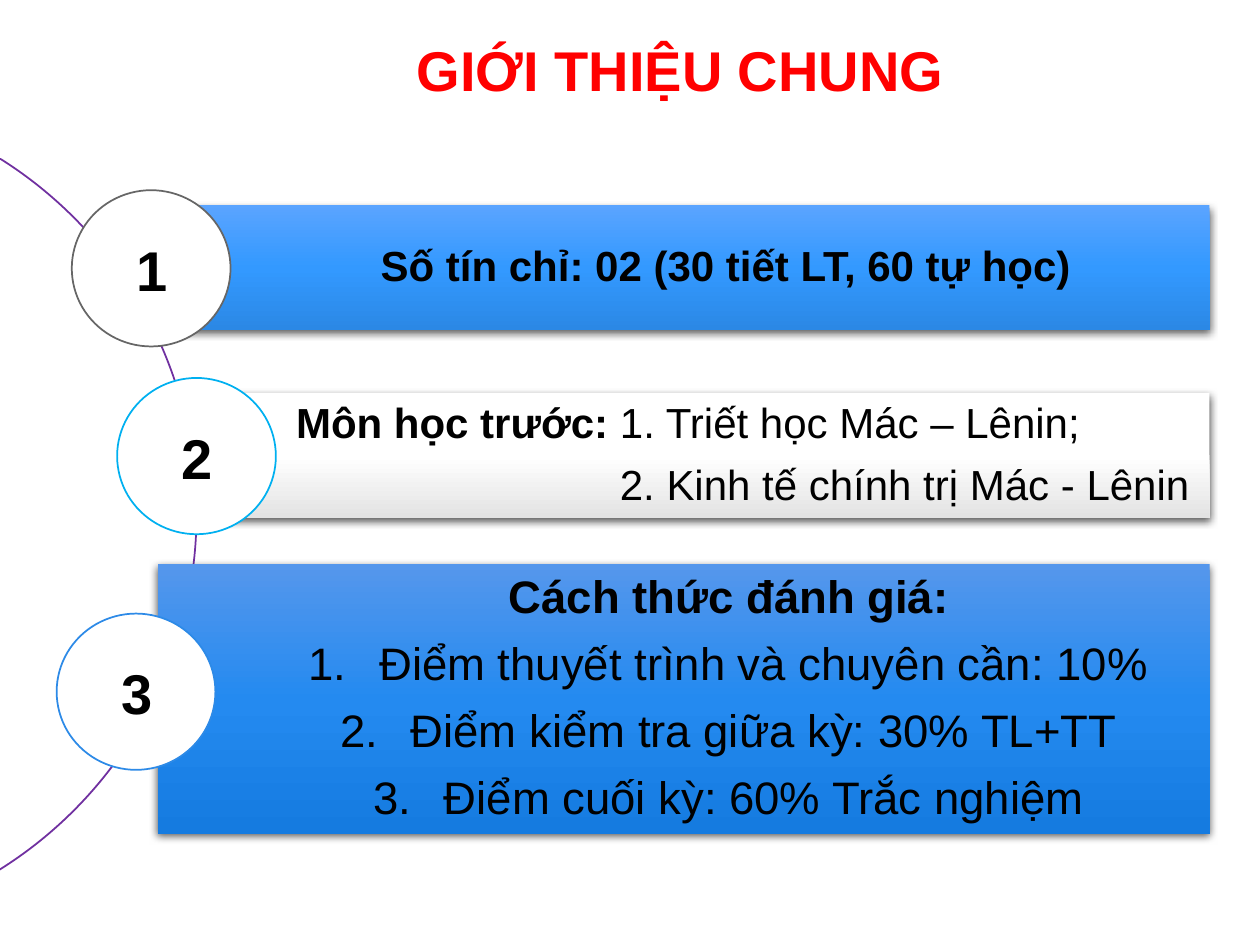
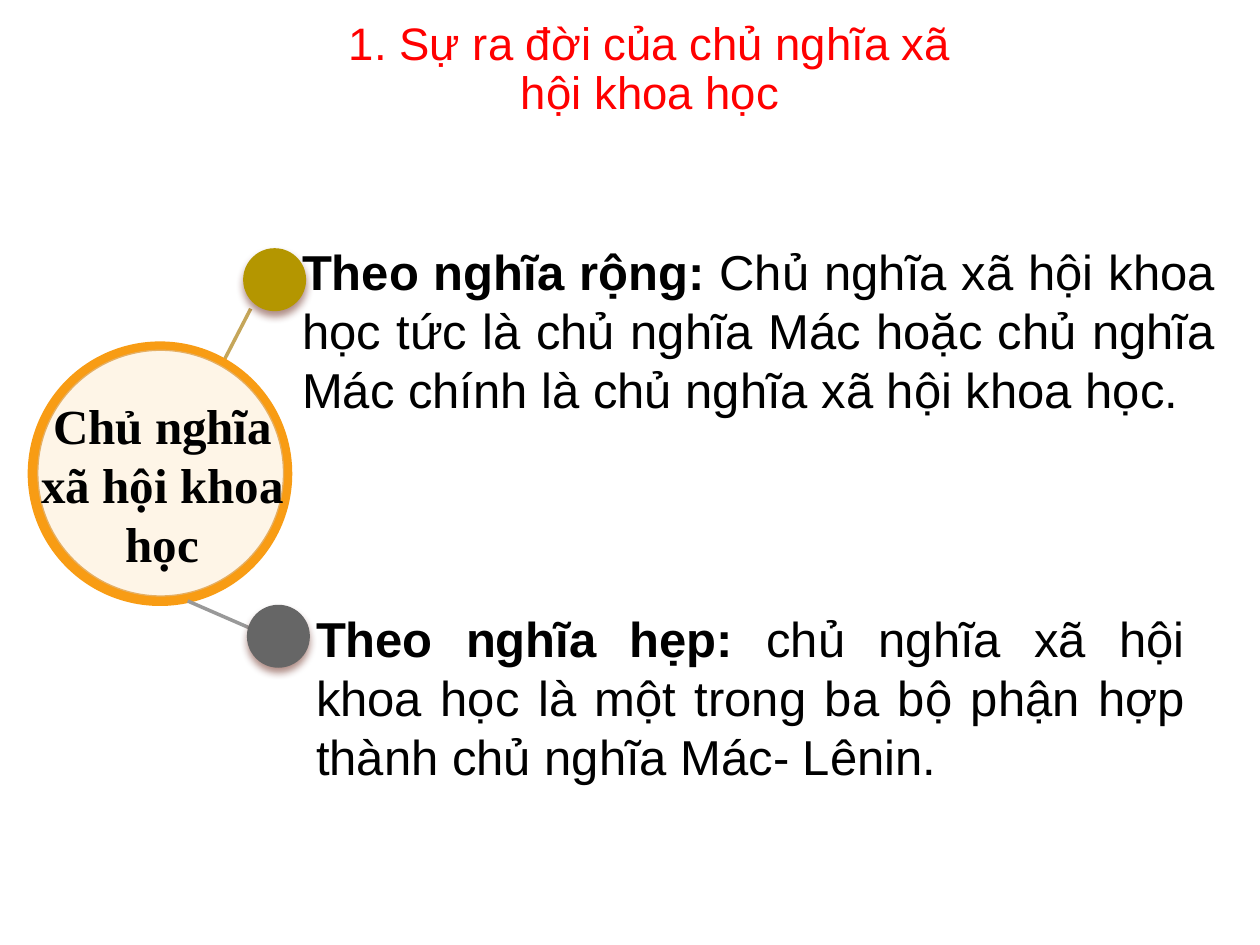
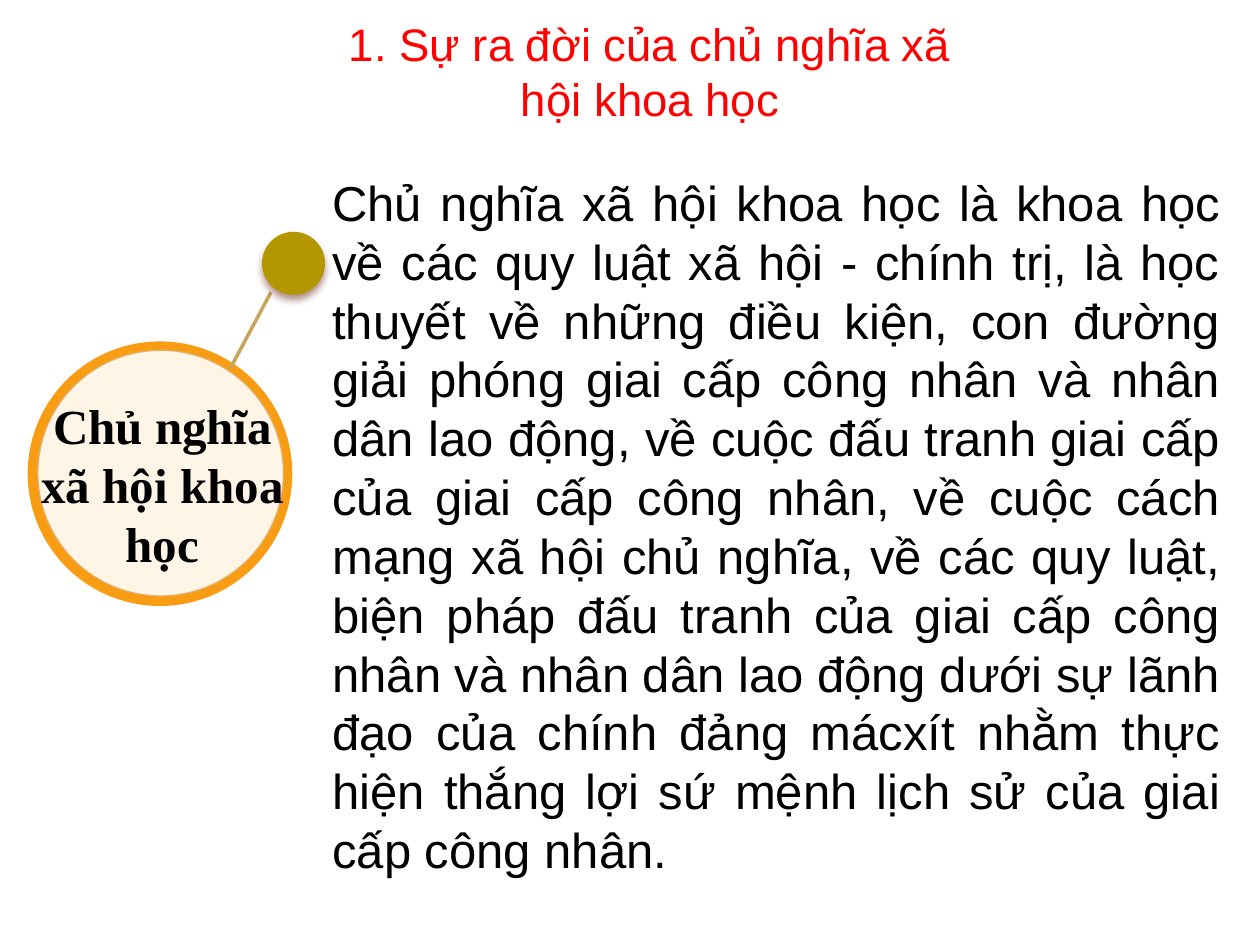
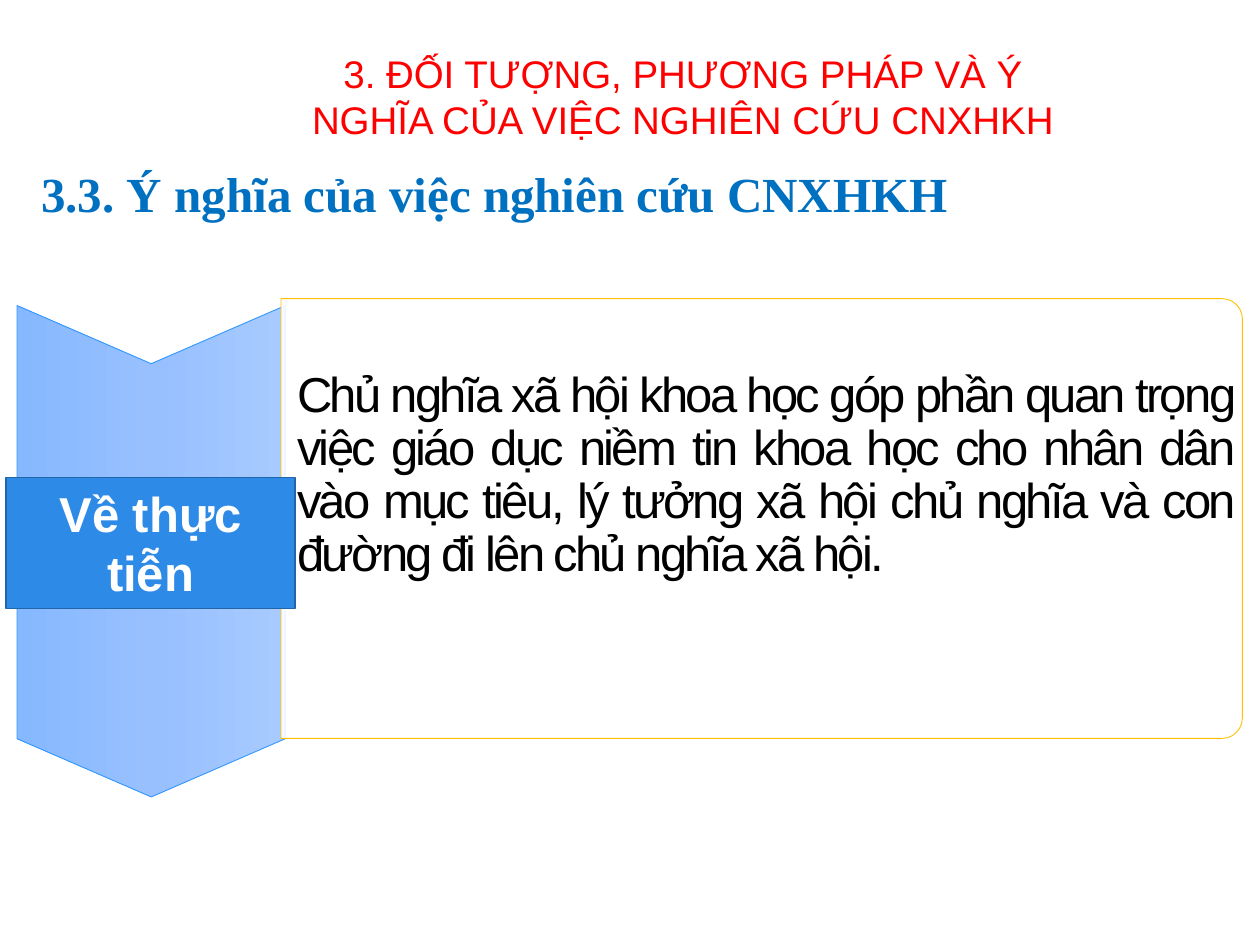
from lxml import etree
from pptx import Presentation
from pptx.dml.color import RGBColor
from pptx.enum.shapes import MSO_CONNECTOR, MSO_SHAPE as SHAPE
from pptx.enum.text import MSO_ANCHOR as ANCHOR, PP_ALIGN as ALIGN
from pptx.oxml.ns import qn
from pptx.util import Inches, Pt

RED = RGBColor(0xFF, 0x00, 0x00)
BLACK = RGBColor(0x00, 0x00, 0x00)
WHITE = RGBColor(0xFF, 0xFF, 0xFF)
PURPLE = RGBColor(0x70, 0x30, 0xA0)
GRAY = RGBColor(0x66, 0x66, 0x66)
LIGHT_GRAY = RGBColor(0x99, 0x99, 0x99)
CYAN = RGBColor(0x00, 0xB0, 0xF0)
BLUE = RGBColor(0x2D, 0x8A, 0xE7)
DARK_BLUE = RGBColor(0x21, 0x66, 0xAB)
BRIGHT_BLUE = RGBColor(0x33, 0x99, 0xFF)
HEADING_BLUE = RGBColor(0x00, 0x70, 0xC0)
ORANGE = RGBColor(0xF8, 0x9C, 0x14)
TAN = RGBColor(0xE5, 0xAF, 0x63)
SAND = RGBColor(0xC5, 0xA6, 0x5A)
OLIVE = RGBColor(0xB4, 0x96, 0x00)
GOLD = RGBColor(0xFF, 0xC0, 0x00)
BROWN = RGBColor(0x58, 0x10, 0x01)

SKY_FADE = (RGBColor(0x5A, 0xA4, 0xFF), BRIGHT_BLUE, RGBColor(0x2B, 0x88, 0xE5))
WHITE_FADE = (WHITE, WHITE, RGBColor(0xE3, 0xE3, 0xE3))
OCEAN_FADE = (RGBColor(0x55, 0x97, 0xEC), RGBColor(0x24, 0x8A, 0xF0), RGBColor(0x15, 0x7B, 0xE0))
PALE_FADE = (RGBColor(0xA7, 0xCA, 0xFF), RGBColor(0x98, 0xC0, 0xFF), RGBColor(0x86, 0xB8, 0xFF))

SANS, SERIF = "Arial", "Times New Roman"
BAR_SHADOW = dict(color=BLACK, opacity=63, blur=4.5, distance=1.5)
DOT_SHADOW = dict(color=BROWN, opacity=48, blur=4.5, distance=3)
BAR_RIGHT = 9.6
DOT_SIZE = 0.5

# A paragraph is a list of (text, bold) spans.
ORIGIN_TITLE = "1. Sự ra đời của chủ nghĩa xã hội khoa học"
ORIGIN_TITLE_AT = (2.45, 0.15, 5.42, 0.82)
CORE_TERM = "Chủ nghĩa xã hội khoa học"

OVERVIEW = [
    dict(bar=(1.2, 1.63, 0.99), circle=(0.57, 1.51), fade=SKY_FADE, ring=GRAY, size=24, paras=[
        ([("Số tín chỉ: 02 (30 tiết LT, 60 tự học)", True)], {}),
    ]),
    dict(bar=(1.56, 3.12, 0.99), circle=(0.93, 3), fade=WHITE_FADE, ring=CYAN, size=24, paras=[
        ([("Môn học trước: ", True), ("1. Triết học Mác – Lênin;", False)], dict(align=ALIGN.LEFT)),
        ([("2. Kinh tế chính trị Mác - Lênin", False)], dict(align=ALIGN.LEFT, margin=2.57)),
    ]),
    dict(bar=(1.25, 4.48, 2.14), circle=(0.45, 4.87), fade=OCEAN_FADE, ring=BLUE, size=26, paras=[
        ([("Cách thức đánh giá:", True)], {}),
        ([("Điểm thuyết trình và chuyên cần: 10%", False)], dict(margin=0.56, numbered=True)),
        ([("Điểm kiểm tra giữa kỳ: 30% TL+TT", False)], dict(margin=0.56, numbered=True)),
        ([("Điểm cuối kỳ: 60% Trắc nghiệm", False)], dict(margin=0.56, numbered=True)),
    ]),
]

BROAD_SENSE = [
    ("Theo nghĩa rộng:", True),
    (" Chủ nghĩa xã hội khoa học tức là chủ nghĩa Mác hoặc chủ nghĩa Mác chính là "
     "chủ nghĩa xã hội khoa học.", False),
]
NARROW_SENSE = [
    ("Theo nghĩa hẹp: ", True),
    ("chủ nghĩa xã hội khoa học là một trong ba bộ phận hợp thành chủ nghĩa Mác- Lênin.", False),
]
DEFINITION = (
    "Chủ nghĩa xã hội khoa học là khoa học về các quy luật xã hội - chính trị, là học thuyết "
    "về những điều kiện, con đường giải phóng giai cấp công nhân và nhân dân lao động, về cuộc "
    "đấu tranh giai cấp của giai cấp công nhân, về cuộc cách mạng xã hội chủ nghĩa, về các quy "
    "luật, biện pháp đấu tranh của giai cấp công nhân và nhân dân lao động dưới sự lãnh đạo của "
    "chính đảng mácxít nhằm thực hiện thắng lợi sứ mệnh lịch sử của giai cấp công nhân."
)
PRACTICE = (
    "Chủ nghĩa xã hội khoa học góp phần quan trọng việc giáo dục niềm tin khoa học cho nhân dân "
    "vào mục tiêu, lý tưởng xã hội chủ nghĩa và con đường đi lên chủ nghĩa xã hội."
)


def add_color(parent, color, opacity=100):
    node = etree.SubElement(parent, qn("a:srgbClr"), val=str(color))
    if opacity < 100:
        etree.SubElement(node, qn("a:alpha"), val=str(opacity * 1000))


def paint_fade(shape, colors):
    """Fill a shape from top to bottom with evenly spaced colours."""
    shape.fill.gradient()
    shape.fill.gradient_angle = 270
    stops = shape._element.spPr.find(".//" + qn("a:gsLst"))
    for stop in list(stops):
        stops.remove(stop)
    for index, color in enumerate(colors):
        position = 100000 * index // (len(colors) - 1)
        add_color(etree.SubElement(stops, qn("a:gs"), pos=str(position)), color)


def add_shadow(shape, color, opacity, blur, distance):
    effects = shape._element.spPr.find(qn("a:effectLst"))
    outer = etree.SubElement(effects, qn("a:outerShdw"), blurRad=str(Pt(blur)),
                             dist=str(Pt(distance)), dir="5400000", rotWithShape="0")
    add_color(outer, color, opacity)


def add_figure(page, kind, at, fill, line=None, width=1, opacity=100, shadow=None,
               rotation=0, adjust=()):
    """Add a preset shape; a tuple as fill makes a gradient."""
    shape = page.shapes.add_shape(kind, *map(Inches, at))
    shape.shadow.inherit = False
    shape.rotation = rotation
    for index, value in enumerate(adjust):
        shape.adjustments[index] = value
    if isinstance(fill, RGBColor):
        shape.fill.solid()
        shape.fill.fore_color.rgb = fill
        if opacity < 100:
            node = shape._element.spPr.find(qn("a:solidFill"))[0]
            etree.SubElement(node, qn("a:alpha"), val=str(opacity * 1000))
    else:
        paint_fade(shape, fill)
    if line is None:
        shape.line.fill.background()
    else:
        shape.line.color.rgb = line
        shape.line.width = Pt(width)
    if shadow:
        add_shadow(shape, **shadow)
    return shape


def add_line(page, start, end, color):
    line = page.shapes.add_connector(MSO_CONNECTOR.STRAIGHT, *map(Inches, start + end))
    line.line.color.rgb = color
    line.line.width = Pt(2)
    etree.SubElement(line._element.spPr, qn("a:effectLst"))


def write_para(para, spans, size, color=BLACK, font=SANS, align=ALIGN.CENTER, leading=None,
               after=None, margin=0, numbered=False, tracking=0):
    props = para._p.get_or_add_pPr()
    if margin:
        props.set("marL", str(Inches(margin)))
    if numbered:
        props.set("indent", str(-Inches(margin)))
        etree.SubElement(props, qn("a:buFont"), typeface="+mj-lt")
        etree.SubElement(props, qn("a:buAutoNum"), type="arabicPeriod")
    layout = dict(alignment=align, line_spacing=leading, space_after=after)
    for name, value in layout.items():
        setattr(para, name, value)
    for text, bold in spans:
        span = para.add_run()
        span.text = text
        for name, value in dict(size=Pt(size), name=font, bold=bold).items():
            setattr(span.font, name, value)
        span.font.color.rgb = color
        if tracking:
            span._r.get_or_add_rPr().set("spc", str(int(tracking * 100)))


def write(shape, paras, anchor=ANCHOR.TOP, **shared):
    """Fill a shape with (spans, format) paragraphs that share some format."""
    frame = shape.text_frame
    frame.word_wrap = True
    frame.vertical_anchor = anchor
    for index, (spans, own) in enumerate(paras):
        para = frame.add_paragraph() if index else frame.paragraphs[0]
        write_para(para, spans, **{**shared, **own})


def add_text(page, at, spans, anchor=ANCHOR.TOP, **format_values):
    box = page.shapes.add_textbox(*map(Inches, at))
    write(box, [(spans, {})], anchor, **format_values)


def add_title(page, at, text, size=26, bold=False, leading=None):
    add_text(page, at, [(text, bold)], ANCHOR.MIDDLE, size=size, color=RED, leading=leading)


def add_core(page):
    """Draw the ringed disc that names the central term."""
    add_figure(page, SHAPE.OVAL, (0.22, 2.71, 2.1, 2.1), ORANGE)
    add_figure(page, SHAPE.OVAL, (0.3, 2.78, 1.95, 1.95), WHITE, TAN, 0.75, opacity=90)
    add_text(page, (0.16, 3.09, 2.26, 1.51), [(CORE_TERM, True)], size=28, font=SERIF)


def add_branch(page, start, end, dot, line_color, dot_color):
    add_line(page, start, end, line_color)
    add_figure(page, SHAPE.OVAL, dot + (DOT_SIZE, DOT_SIZE), dot_color, shadow=DOT_SHADOW)


def build_overview(page):
    add_title(page, (2.56, 0.14, 5.68, 0.82), "GIỚI THIỆU CHUNG", 32, bold=True)
    add_figure(page, SHAPE.BLOCK_ARC, (-5.1, 0.75, 6.66, 6.66), PURPLE, PURPLE,
               adjust=(181.33, 34.8, 0))
    for number, item in enumerate(OVERVIEW, 1):
        left, top, height = item["bar"]
        bar = add_figure(page, SHAPE.RECTANGLE, (left, top, BAR_RIGHT - left, height),
                         item["fade"], shadow=BAR_SHADOW)
        insets = dict(margin_left=0.79, margin_top=0.07, margin_right=0.07, margin_bottom=0.07)
        for name, value in insets.items():
            setattr(bar.text_frame, name, Inches(value))
        size = item["size"]
        write(bar, item["paras"], ANCHOR.MIDDLE, size=size, leading=0.9, after=Pt(size * 0.4))
        left, top = item["circle"]
        add_figure(page, SHAPE.OVAL, (left, top, 1.26, 1.24), WHITE, item["ring"])
        add_text(page, (left + 0.32, top + 0.31, 0.63, 0.64), [(str(number), True)], size=32)


def build_senses(page):
    add_branch(page, (1.68, 3.05), (1.99, 2.45), (1.93, 1.97), SAND, OLIVE)
    add_core(page)
    for at, spans in [((2.3, 1.87, 7.44, 1.51), BROAD_SENSE),
                      ((2.41, 4.78, 7.09, 1.51), NARROW_SENSE)]:
        add_text(page, at, spans, size=28, align=ALIGN.JUSTIFY)
    add_branch(page, (1.49, 4.77), (2.11, 5.04), (1.96, 4.8), LIGHT_GRAY, GRAY)
    add_title(page, ORIGIN_TITLE_AT, ORIGIN_TITLE, leading=0.9)


def build_definition(page):
    add_text(page, (2.54, 1.32, 7.24, 5.76), [(DEFINITION, False)], size=28, align=ALIGN.JUSTIFY)
    add_core(page)
    add_branch(page, (1.83, 2.92), (2.15, 2.32), (2.08, 1.84), SAND, OLIVE)
    add_title(page, ORIGIN_TITLE_AT, ORIGIN_TITLE)


def build_meaning(page):
    add_figure(page, SHAPE.CHEVRON, (-0.75, 3.31, 3.9, 2.13), PALE_FADE, BRIGHT_BLUE, 0.5,
               rotation=90, adjust=(0.217,))
    add_figure(page, SHAPE.ROUND_2_SAME_RECTANGLE, (4.3, 0.3, 3.49, 7.63), WHITE, GOLD, 0.5,
               opacity=90, rotation=90, adjust=(0.046, 0))
    label = add_figure(page, SHAPE.RECTANGLE, (0.05, 3.79, 2.29, 1.04), BLUE, DARK_BLUE)
    write(label, [([("Về thực tiễn", True)], {})], size=28, color=WHITE)
    add_text(page, (2.26, 2.89, 7.63, 1.8), [(PRACTICE, False)], size=28,
             align=ALIGN.JUSTIFY, leading=0.9, tracking=-1.5)
    add_text(page, (0.23, 1.25, 9.67, 0.57), [("3.3. Ý nghĩa của việc nghiên cứu CNXHKH", True)],
             size=28, font=SERIF, color=HEADING_BLUE, align=ALIGN.JUSTIFY)
    add_title(page, (2.35, 0.04, 6.14, 1.45),
              "3. ĐỐI TƯỢNG, PHƯƠNG PHÁP VÀ Ý NGHĨA CỦA VIỆC NGHIÊN CỨU CNXHKH", 22)


def main():
    deck = Presentation()
    deck.slide_width, deck.slide_height = Inches(10), Inches(7.5)
    for build in (build_overview, build_senses, build_definition, build_meaning):
        build(deck.slides.add_slide(deck.slide_layouts[6]))
    deck.save("out.pptx")


if __name__ == "__main__":
    main()
